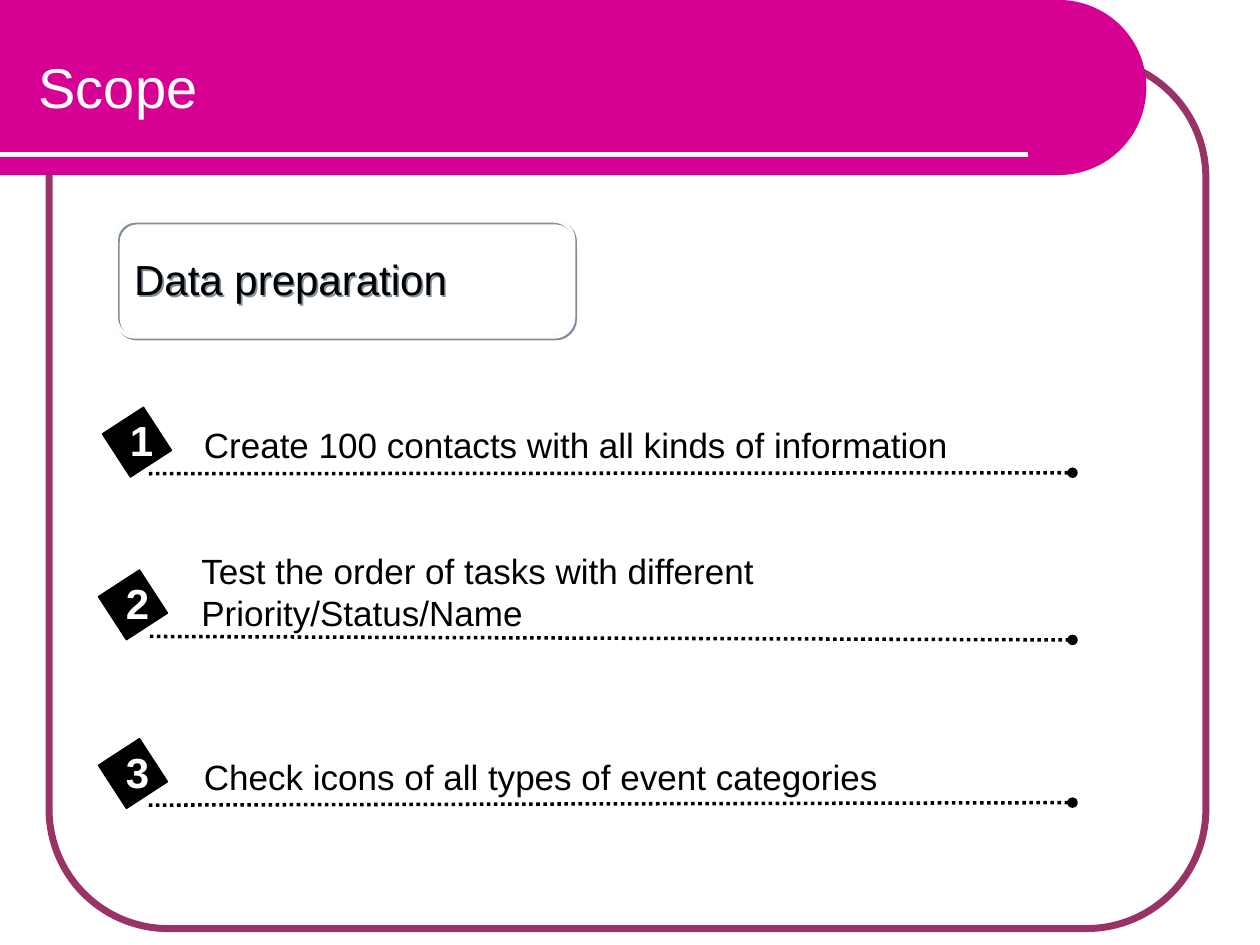
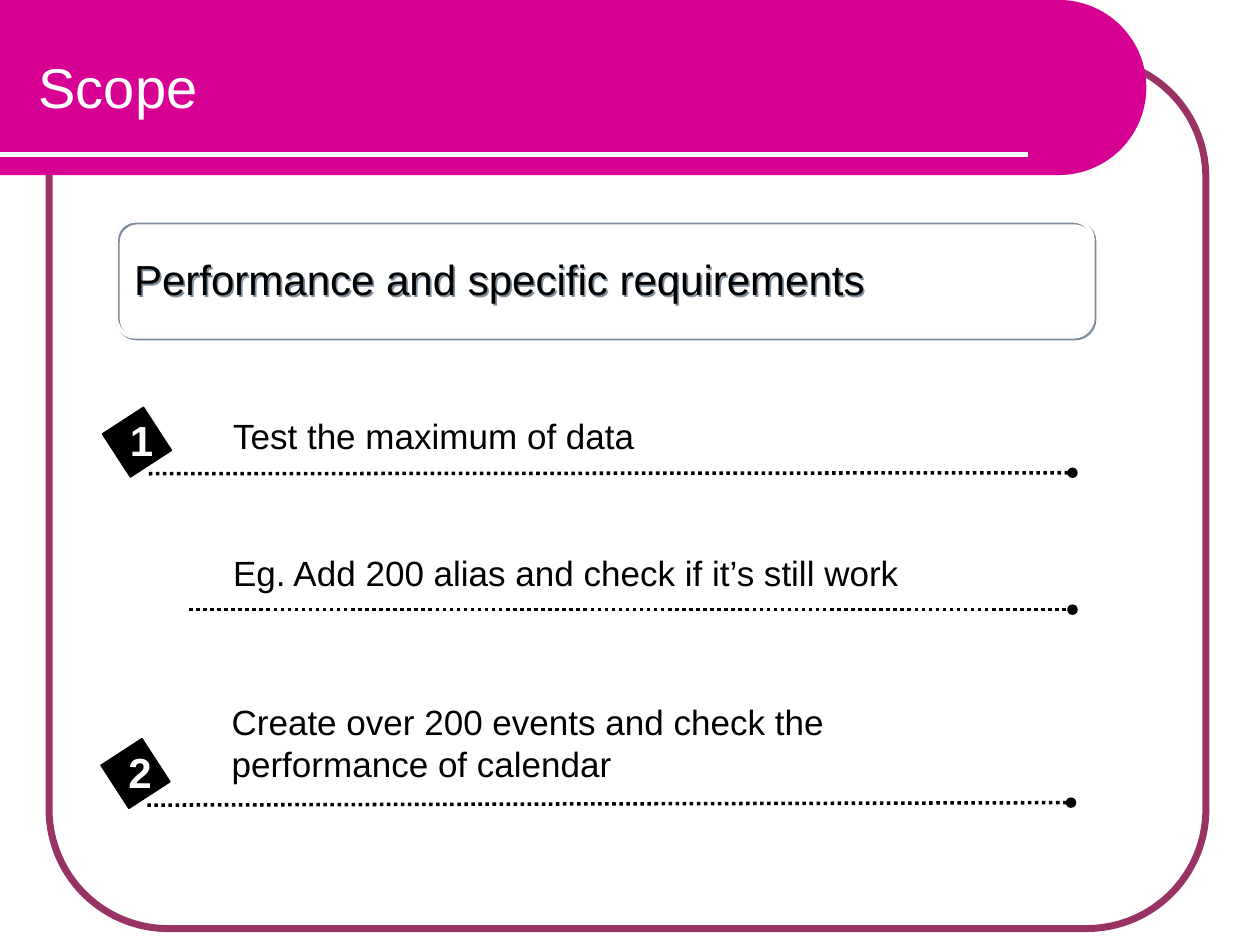
import math
from lxml import etree
from pptx import Presentation
from pptx.dml.color import RGBColor
from pptx.enum.dml import MSO_LINE
from pptx.enum.shapes import MSO_CONNECTOR, MSO_SHAPE
from pptx.enum.text import MSO_ANCHOR, MSO_AUTO_SIZE, PP_ALIGN
from pptx.oxml.ns import qn
from pptx.util import Cm, Pt

RECT, ROUND = MSO_SHAPE.RECTANGLE, MSO_SHAPE.ROUNDED_RECTANGLE
STRAIGHT = MSO_CONNECTOR.STRAIGHT
DOTTED = MSO_LINE.ROUND_DOT
TOP, MIDDLE = MSO_ANCHOR.TOP, MSO_ANCHOR.MIDDLE
LEFT, CENTER = PP_ALIGN.LEFT, PP_ALIGN.CENTER
GROW = MSO_AUTO_SIZE.SHAPE_TO_FIT_TEXT

MAGENTA, PLUM, WHITE, BLACK = "D60093", "993366", "FFFFFF", "000000"
OFF_WHITE, SHADOW = "FCFCFC", "001D3A"

TITLE_FONT = dict(size=Pt(32), color=WHITE)
HEADING_FONT = dict(size=Pt(24), color=BLACK)
ITEM_FONT = dict(size=Pt(20), color=BLACK)
BADGE_FONT = dict(size=Pt(24), color=WHITE, bold=True)

BAND_W, BAND_H = 23.11, 3.53
LINE_H, ITEM_PAD = 0.84, 0.28
BADGE_W, BADGE_H, BADGE_RISE = 1.04, 0.99, 1.13

# fmt: off
SLIDES = [
    dict(title="Scope", heading="Data preparation", heading_w=9.22, items=[
        dict(text="Create 100 contacts with all kinds of information", at=(3.86, 8.41), width=15.52,
             lines=1, rule=(3.0, 9.55, 21.62, 9.53), badge=("1", 2.24)),
        dict(text="Test the order of tasks with different Priority/Status/Name", at=(3.81, 10.95), width=16.71,
             lines=2, rule=(3.02, 12.83, 21.62, 12.9), badge=("2", 2.16)),
        dict(text="Check icons of all types of event categories", at=(3.86, 15.11), width=14.1,
             lines=1, rule=(3.0, 16.23, 21.62, 16.18), badge=("3", 2.16)),
    ]),
    dict(title="Scope", heading="Performance and specific requirements", heading_w=19.69, items=[
        dict(text="Test the maximum of data", at=(4.45, 8.23), width=8.69,
             lines=1, rule=(3.0, 9.55, 21.62, 9.53), badge=("1", 2.24)),
        dict(text="Eg. Add 200 alias and check if it’s still work", at=(4.45, 11.0), width=17.15,
             lines=1, rule=(3.81, 12.29, 21.62, 12.29), badge=None),
        dict(text="Create over 200 events and check the performance of calendar", at=(4.42, 14.0), width=15.9,
             lines=2, rule=(2.97, 16.23, 21.59, 16.18), badge=("2", 2.21)),
    ]),
]
# fmt: on


def rgb(value):
    return RGBColor.from_string(value)


def paint(sp, fill=None, line=None, width=0.75):
    sp.shadow.inherit = False
    if fill:
        sp.fill.solid()
        sp.fill.fore_color.rgb = rgb(fill)
    else:
        sp.fill.background()
    if line:
        sp.line.color.rgb = rgb(line)
        sp.line.width = Pt(width)
    else:
        sp.line.fill.background()


def add_box(s, kind, box, **style):
    sp = s.shapes.add_shape(kind, *map(Cm, box))
    paint(sp, **style)
    return sp


def write(sp, text, font, align=LEFT, anchor=TOP, wrap=True):
    tf = sp.text_frame
    for name, value in dict(word_wrap=wrap, vertical_anchor=anchor).items():
        setattr(tf, name, value)
    p = tf.paragraphs[0]
    p.alignment = align
    r = p.add_run()
    r.text = text
    r.font.name = "Arial"
    for name, value in font.items():
        if name == "color":
            r.font.color.rgb = rgb(value)
        else:
            setattr(r.font, name, value)


def add_text(s, box, text, font, **layout):
    sp = s.shapes.add_textbox(*map(Cm, box))
    write(sp, text, font, **layout)
    return sp


def add_rule(s, ends, color, width, dash=None, dot_end=False):
    c = s.shapes.add_connector(STRAIGHT, *map(Cm, ends))
    c.line.color.rgb = rgb(color)
    c.line.width = Pt(width)
    if dash:
        c.line.dash_style = dash
    if dot_end:
        etree.SubElement(c.line._get_or_add_ln(), qn("a:tailEnd"), type="oval")
    etree.SubElement(c._element.spPr, qn("a:effectLst"))


def add_shadow(sp):
    effects = sp._element.spPr.find(qn("a:effectLst"))
    outer = etree.SubElement(effects, qn("a:outerShdw"), blurRad="0",
                             dist=str(Pt(1.4)), dir="2700000", algn="ctr", rotWithShape="0")
    color = etree.SubElement(outer, qn("a:srgbClr"), val=SHADOW)
    etree.SubElement(color, qn("a:alpha"), val="50000")


def add_band(s):
    radius = BAND_H / 2
    angles = [math.radians(a) for a in range(-90, 91, 3)]
    arc = [(Cm(BAND_W - radius + radius * math.cos(a)), Cm(radius + radius * math.sin(a)))
           for a in angles]
    outline = s.shapes.build_freeform(0, 0)
    outline.add_line_segments(arc + [(0, Cm(BAND_H))], close=True)
    paint(outline.convert_to_shape(), fill=MAGENTA)


def add_base(s, title):
    frame = add_box(s, ROUND, (0.99, 1.17, 23.32, 17.55), line=PLUM, width=4)
    frame.adjustments[0] = 0.137
    add_band(s)
    add_rule(s, (0, 3.12, 20.73, 3.12), WHITE, 3)
    add_text(s, (0.53, 0, 19.1, 3.48), title, TITLE_FONT, anchor=MIDDLE)


def add_heading(s, text, width):
    sp = add_box(s, ROUND, (2.34, 4.45, width, 2.34), line=OFF_WHITE, width=2.25)
    add_shadow(sp)
    write(sp, text, HEADING_FONT, anchor=MIDDLE, wrap=False)


def add_badge(s, number, left, top):
    sp = add_box(s, RECT, (left, top, BADGE_W, BADGE_H), fill=BLACK, line=BLACK)
    sp.rotation = 57
    label = add_text(s, (left + 0.13, top - 0.18, 0.81, 1.27), number, BADGE_FONT, align=CENTER)
    label.text_frame.auto_size = GROW


def add_item(s, text, at, width, lines, rule, badge):
    add_rule(s, rule, BLACK, 2, DOTTED, dot_end=True)
    if badge:
        add_badge(s, *badge, rule[1] - BADGE_RISE)
    box = (*at, width, lines * LINE_H + ITEM_PAD)
    sp = add_text(s, box, text, ITEM_FONT, wrap=lines > 1)
    sp.text_frame.auto_size = GROW


def main():
    prs = Presentation()
    prs.slide_width, prs.slide_height = Cm(25.4), Cm(19.05)
    for content in SLIDES:
        s = prs.slides.add_slide(prs.slide_layouts[6])
        add_base(s, content["title"])
        add_heading(s, content["heading"], content["heading_w"])
        for item in content["items"]:
            add_item(s, **item)
    prs.save("out.pptx")


if __name__ == "__main__":
    main()
